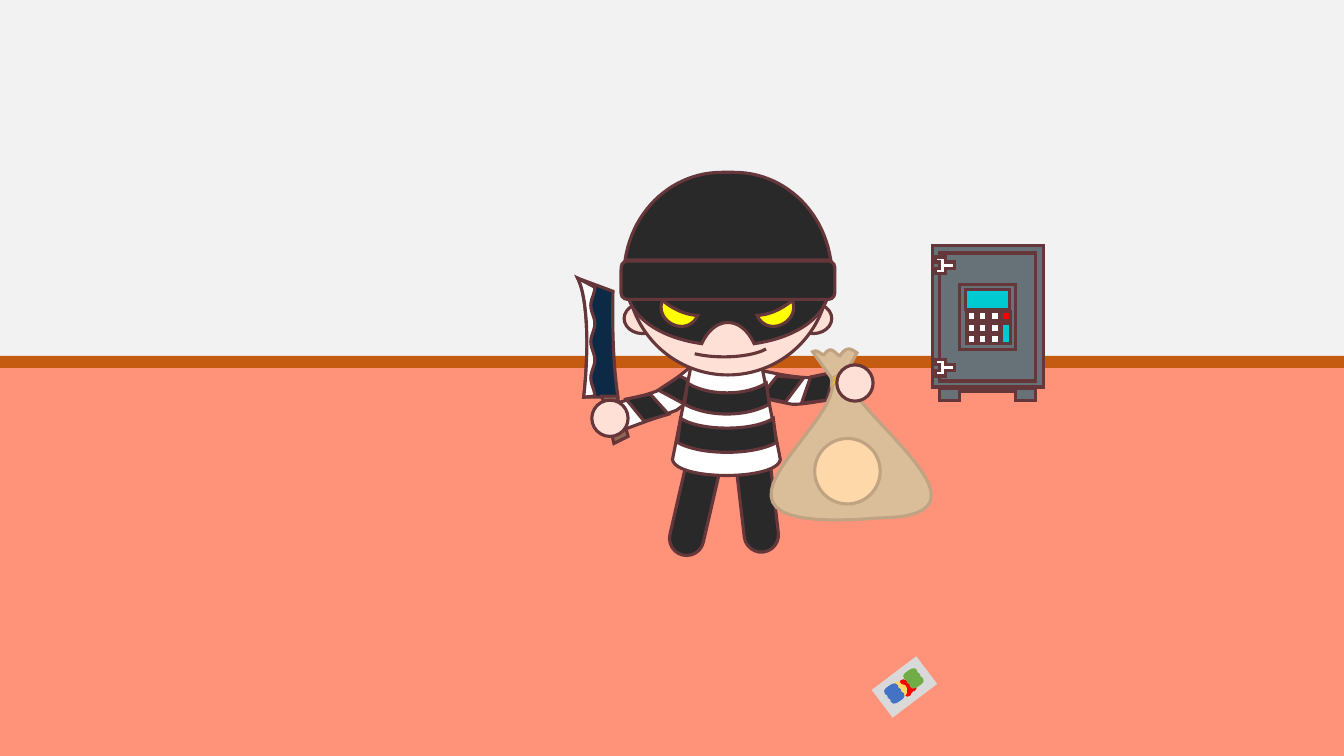
import math
import pptx
import pptx.dml.color
import pptx.enum.shapes
import pptx.oxml
import pptx.util

Inches = pptx.util.Inches
KIND = pptx.enum.shapes.MSO_SHAPE
COLOURS = {
    "floor": "FF937A", "wall": "F2F2F2", "skirting": "C55A11", "outline": "65363A",
    "steel": "677278", "white": "FFFFFF", "screen": "00CAD1", "red": "FF0000",
    "black": "292929", "blade": "0C2A46", "handle": "926553", "skin": "FFE0D6",
    "eye": "FFFF00", "card": "D9D9D9", "yellow": "FFD966", "blue": "4472C4",
    "green": "70AD47", "sack": "DABE99", "seam": "C0A383", "tie": "FCC601",
    "patch": "FED8A9",
}

presentation = pptx.Presentation()
presentation.slide_width = Inches(13.33)
presentation.slide_height = Inches(7.5)
shapes = presentation.slides.add_slide(presentation.slide_layouts[6]).shapes


def place(kind, box, fill, line="outline", width=2.25, source=None):
    """Add a preset shape, or take a ready one as source, and colour it."""
    shape = source or shapes.add_shape(kind, *map(Inches, box))
    shape.shadow.inherit = False
    if fill:
        shape.fill.solid()
        shape.fill.fore_color.rgb = pptx.dml.color.RGBColor.from_string(COLOURS[fill])
    else:
        shape.fill.background()
    if line:
        shape.line.color.rgb = pptx.dml.color.RGBColor.from_string(COLOURS[line])
        shape.line.width = pptx.util.Pt(width)
        shape.line._get_or_add_ln().append(pptx.oxml.parse_xml(
            f'<a:miter {pptx.oxml.ns.nsdecls("a")} lim="800000"/>'))
    else:
        shape.line.fill.background()
    return shape


def trace(steps, fill, line="outline", width=2.25):
    """Draw a closed outline: pairs are corners, sextuples are Bezier curves."""
    points = [steps[0]]
    for step in steps[1:]:
        if len(step) == 2:
            points.append(step)
            continue
        start = points[-1]
        for t in [n / 24 for n in range(1, 25)]:
            points.append(tuple(
                (1 - t) ** 3 * start[k] + 3 * t * (1 - t) ** 2 * step[k]
                + 3 * t * t * (1 - t) * step[k + 2] + t ** 3 * step[k + 4]
                for k in (0, 1)))
    corners = [(Inches(x), Inches(y)) for x, y in points]
    builder = shapes.build_freeform(*corners[0], scale=1.0)
    builder.add_line_segments(corners[1:], close=True)
    return place(None, None, fill, line, width, builder.convert_to_shape())


# Room
for top, height, colour in [(3.63, 3.87, "floor"), (0, 3.63, "wall"), (3.53, 0.12, "skirting")]:
    place(KIND.RECTANGLE, (0, top, 13.33, height), colour, None)

# Safe
for panel in [(9.25, 2.44, 1.1, 1.4), (9.32, 2.51, 0.95, 1.27), (9.52, 2.82, 0.55, 0.65)]:
    place(KIND.RECTANGLE, panel, "steel")
for key_left in (9.59, 9.7, 9.82):
    for key_top in (3.09, 3.21, 3.32):
        place(KIND.RECTANGLE, (key_left, key_top, 0.09, 0.09), "white")
place(KIND.RECTANGLE, (9.93, 3.09, 0.09, 0.09), "red")
place(KIND.RECTANGLE, (9.93, 3.21, 0.09, 0.2), "screen")
place(KIND.RECTANGLE, (9.58, 2.87, 0.43, 0.2), "screen")
base, step, ground = 3.85, 3.88, 3.97
trace([(9.32, base), (10.27, base), (10.27, ground), (10.07, ground), (10.07, step),
       (9.52, step), (9.52, ground), (9.32, ground)], "steel")
plate, pin, edge, tip = 9.28, 9.32, 9.38, 9.47
for top in (2.55, 3.57):
    upper, lower, bottom = top + 0.05, top + 0.11, top + 0.16
    trace([(plate, top), (edge, top), (edge, upper), (tip, upper), (tip, lower),
           (edge, lower), (edge, bottom), (plate, bottom), (plate, lower),
           (pin, lower), (pin, upper), (plate, upper)], "white")

# Sleeves with dark stripes
trace([(7.33, 3.64), (7.6, 3.66, 8, 3.84, 8.49, 3.69), (8.48, 3.95),
       (8.2, 3.95, 8, 4.02, 7.85, 4.01), (7.32, 3.9)], "white")
trace([(7.71, 3.73), (7.97, 3.75), (7.79, 3.99), (7.54, 3.94)], "black")
trace([(8.04, 3.74), (8.28, 3.69), (8.2, 3.97), (7.95, 4)], "black")
trace([(7.01, 3.51), (6.59, 3.85), (6.41, 3.93, 6.16, 3.97, 5.99, 4.05), (6.11, 4.29),
       (6.71, 4.07), (7.14, 3.75)], "white")
trace([(6.45, 3.91), (6.63, 4.11), (6.39, 4.18), (6.21, 3.96)], "black")
trace([(6.74, 3.73), (6.99, 3.85), (6.79, 4.01), (6.53, 3.87)], "black")

# Knife and hand
knife_tip, knife_heel = (5.73, 2.76), (5.79, 3.94)
knife_back = (5.85, 3.4, 5.82, 2.93, *knife_tip)
trace([knife_tip, (6.08, 2.89), (6.07, 3.33, 6.09, 3.67, 6.13, 3.94), knife_heel, knife_back],
      "blade")
wave = [(5.88 + 0.02 * math.cos(math.tau * n / 12), 2.85 + 0.03 * n) for n in range(37)]
trace([knife_tip, *wave, knife_heel, knife_back], "white")
trace([(5.97, 3.93), (6.12, 3.93), (6.23, 4.33), (6.09, 4.4)], "handle")
place(KIND.OVAL, (5.87, 3.97, 0.36, 0.36), "skin")

# Legs and striped shirt
for left, top, tilt in [(7.34, 4.43, -6.6), (6.72, 4.47, 13)]:
    leg = place(KIND.ROUNDED_RECTANGLE, (left, top, 0.34, 1.05), "black")
    leg.adjustments[0] = 0.5
    leg.rotation = tilt
trace([(6.85, 3.65), (7.56, 3.65), (7.74, 4.56), (7.7, 4.77, 6.71, 4.77, 6.67, 4.56)], "white")
for top, half, height in [(4.15, 0.46, 0.24), (3.8, 0.39, 0.21)]:
    left, right, hem, sag = 7.21 - half, 7.21 + half, top + height, 0.13
    trace([(left, top), (left + 0.2, top + sag, right - 0.2, top + sag, right, top),
           (right + 0.03, hem),
           (right - 0.2, hem + sag, left + 0.2, hem + sag, left - 0.03, hem)], "black")

# Head, mask and hat
for face_part in [(7.88, 3.01, 0.37, 0.3), (6.19, 3.01, 0.37, 0.3), (6.22, 1.72, 2, 2)]:
    place(KIND.OVAL, face_part, "skin")
mouth = place(KIND.ARC, (6.71, 3.25, 0.94, 0.29), None)
mouth.adjustments[0] = 5.42
mouth.adjustments[1] = 95.02
trace([(6.24, 2.75), (6.5, 3, 7.94, 3, 8.2, 2.75), (8.22, 2.86),
       (8.22, 3.09, 7.97, 3.34, 7.48, 3.41), (7.35, 3.13, 7.09, 3.13, 6.96, 3.41),
       (6.47, 3.34, 6.22, 3.09, 6.22, 2.86)], "black")
right_eye = [(7.51, 3.13), (7.65, 3.12, 7.76, 3.06, 7.86, 2.98),
             (7.94, 3.2, 7.61, 3.35, 7.51, 3.13)]
left_eye = [tuple(v if k % 2 else 14.43 - v for k, v in enumerate(part)) for part in right_eye]
trace(right_eye, "eye")
trace(left_eye, "eye")
trace([(7.16, 1.71), (7.28, 1.71), (7.75, 1.71, 8.16, 2.06, 8.24, 2.58), (6.2, 2.58),
       (6.28, 2.06, 6.69, 1.71, 7.16, 1.71)], "black")
place(KIND.ROUNDED_RECTANGLE, (6.16, 2.59, 2.12, 0.38), "black")

# Card on the floor
place(KIND.RECTANGLE, (8.79, 6.74, 0.36, 0.15), "white", "card", 14).rotation = 142.9
card_strokes = [("red", 9, 6.81, 9.03, 6.79), ("red", 9.05, 6.82, 9.03, 6.79),
                ("red", 9.02, 6.84, 8.96, 6.78), ("red", 9, 6.81, 8.97, 6.84),
                ("red", 9, 6.87, 8.97, 6.84), ("yellow", 8.95, 6.87, 8.95, 6.83),
                ("yellow", 8.95, 6.87, 8.9, 6.8), ("yellow", 8.95, 6.87, 8.91, 6.86)]
for colour, corner_x, corner_y in [("blue", 8.87, 6.82), ("green", 9.06, 6.67)]:
    for row in range(3):
        for half in range(2):
            x = corner_x + 0.03 * row - 0.03 * half
            y = corner_y + 0.04 * row + 0.02 * half
            card_strokes.append((colour, x, y, x - 0.03, y + 0.02))
for colour, *ends in card_strokes:
    stroke = shapes.add_connector(pptx.enum.shapes.MSO_CONNECTOR.STRAIGHT, *map(Inches, ends))
    stroke.line.color.rgb = pptx.dml.color.RGBColor.from_string(COLOURS[colour])
    stroke.line.width = pptx.util.Pt(6)
    stroke.line._get_or_add_ln().set("cap", "rnd")
    stroke._element.spPr.append(
        pptx.oxml.parse_xml(f'<a:effectLst {pptx.oxml.ns.nsdecls("a")}/>'))

# Sack and the hand that holds it
trace([(8.06, 3.49), (8.11, 3.46, 8.14, 3.52, 8.17, 3.52), (8.25, 3.42, 8.27, 3.5, 8.33, 3.53),
       (8.4, 3.43, 8.44, 3.46, 8.5, 3.5), (8.38, 3.72), (8.49, 4.15, 10.02, 5.13, 8.71, 5.14),
       (6.62, 5.31, 8.26, 4.31, 8.26, 3.81), (8.24, 3.74)], "sack", "seam")
trace([(8.25, 3.86), (8.22, 3.71, 8.41, 3.69, 8.43, 3.84),
       (8.38, 3.74, 8.28, 3.77, 8.25, 3.86)], "tie", "seam", 1)
trace([(8.25, 3.87), (8.2, 3.72, 8.34, 3.68, 8.4, 3.77),
       (8.33, 3.72, 8.22, 3.76, 8.25, 3.87)], "tie", "seam", 1)
place(KIND.OVAL, (8.08, 4.35, 0.65, 0.65), "patch", "seam")
place(KIND.OVAL, (8.3, 3.62, 0.36, 0.36), "skin")

presentation.save("out.pptx")
